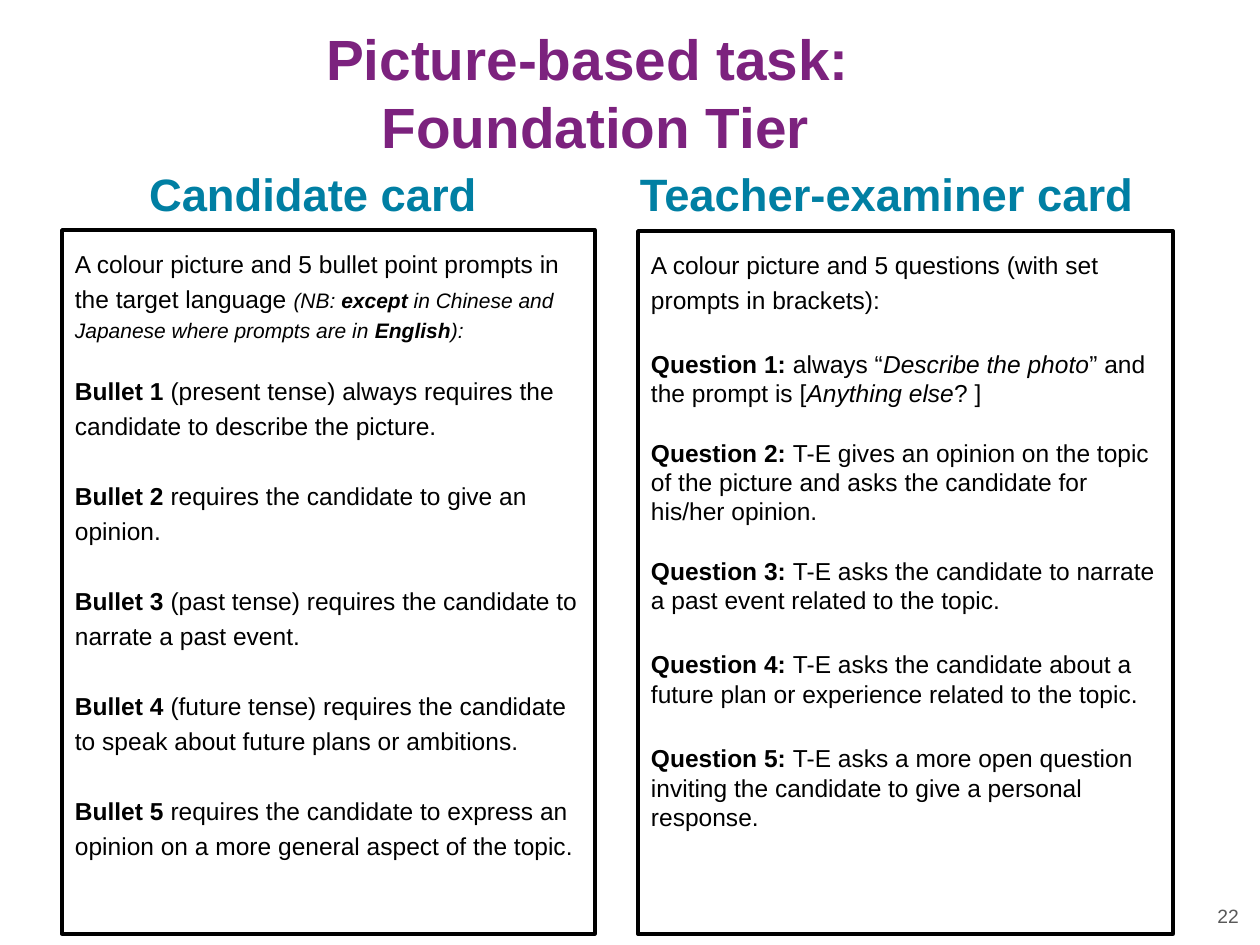
from dataclasses import dataclass

from pptx import Presentation
from pptx.dml.color import RGBColor
from pptx.enum.shapes import MSO_SHAPE as Shape
from pptx.enum.text import MSO_ANCHOR as Anchor, MSO_AUTO_SIZE as AutoSize, PP_ALIGN as Align
from pptx.util import Pt

PX = 914400 // 126


@dataclass(frozen=True)
class Theme:
    font: str = "Arial"
    purple: str = "7C227E"
    teal: str = "007FA3"
    black: str = "000000"
    white: str = "FFFFFF"
    grey: str = "595959"
    title: float = 32.4
    heading: float = 25.9
    body: float = 14
    note: float = 12
    number: float = 11
    inset: int = 13


class Deck:
    def __init__(self, theme):
        self.theme = theme
        self.prs = Presentation()
        self.prs.slide_width, self.prs.slide_height = 1260 * PX, 945 * PX
        self.s = self.prs.slides.add_slide(self.prs.slide_layouts[5])

    def style(self, p, size, color, bold=None, align=Align.LEFT):
        p.alignment = align
        p.font.name = self.theme.font
        p.font.size = Pt(size)
        p.font.bold = bold
        p.font.color.rgb = RGBColor.from_string(color)

    def frame(self, sp, inset, anchor):
        tf = sp.text_frame
        tf.word_wrap = True
        tf.auto_size = AutoSize.NONE
        tf.vertical_anchor = anchor
        tf.margin_left = tf.margin_right = tf.margin_top = tf.margin_bottom = inset * PX
        return tf

    def title(self, text, x, y, w, h):
        sp = self.s.shapes.title
        sp.left, sp.top, sp.width, sp.height = (v * PX for v in (x, y, w, h))
        tf = self.frame(sp, 0, Anchor.TOP)
        tf.text = text
        self.style(tf.paragraphs[0], self.theme.title, self.theme.purple, True, Align.CENTER)

    def label(self, text, x, y, w, h, size, color, bold=None, align=Align.LEFT):
        sp = self.s.shapes.add_textbox(*(v * PX for v in (x, y, w, h)))
        tf = self.frame(sp, 0, Anchor.MIDDLE)
        tf.text = text
        self.style(tf.paragraphs[0], size, color, bold, align)

    def card(self, paragraphs, x, y, w, h):
        """Each paragraph is (space before, line spacing, runs); a run is (text, flags)."""
        t = self.theme
        sp = self.s.shapes.add_shape(Shape.RECTANGLE, *(v * PX for v in (x, y, w, h)))
        sp.shadow.inherit = False
        sp.fill.solid()
        sp.fill.fore_color.rgb = RGBColor.from_string(t.white)
        sp.line.color.rgb = RGBColor.from_string(t.black)
        sp.line.width = Pt(2)
        tf = self.frame(sp, t.inset, Anchor.TOP)
        for i, (before, spacing, runs) in enumerate(paragraphs):
            p = tf.add_paragraph() if i else tf.paragraphs[0]
            self.style(p, t.body, t.black)
            p.line_spacing = spacing
            if before:
                p.space_before = Pt(before)
            for text, flags in runs:
                r = p.add_run()
                r.text = text
                if "b" in flags:
                    r.font.bold = True
                if "i" in flags:
                    r.font.italic = True
                if "n" in flags:  # small note
                    r.font.size = Pt(t.note)


LOOSE, SINGLE = 1.19, 1.0

CANDIDATE_INTRO = [
    ("A colour picture and 5 bullet point prompts in the target language ", ""),
    ("(NB: ", "in"), ("except", "bin"),
    (" in Chinese and Japanese where prompts are in ", "in"),
    ("English", "bin"), ("):", "in"),
]
BULLETS = [
    "(present tense) always requires the candidate to describe the picture.",
    "requires the candidate to give an opinion.",
    "(past tense) requires the candidate to narrate a past event.",
    "(future tense) requires the candidate to speak about future plans or ambitions.",
    "requires the candidate to express an opinion on a more general aspect of the topic.",
]
EXAMINER_INTRO = [("A colour picture and 5 questions (with set prompts in brackets):", "")]
# Space before, then the runs after the question number
QUESTIONS = [
    (20, [("always “", ""), ("Describe the photo", "i"), ("” and the prompt is [", ""),
          ("Anything else", "i"), ("? ]", "")]),
    (17, [("T-E gives an opinion on the topic of the picture and asks the candidate "
           "for his/her opinion.", "")]),
    (17, [("T-E asks the candidate to narrate a past event related to the topic.", "")]),
    (20, [("T-E asks the candidate about a future plan or experience related to the topic.", "")]),
    (20, [("T-E asks a more open question inviting the candidate to give a personal "
           "response.", "")]),
]


def main():
    theme = Theme()
    deck = Deck(theme)

    # Title and slide number
    deck.title("Picture-based task: \vFoundation Tier", 92, 24, 1007, 127)
    deck.label("22", 1199, 897, 40, 37, theme.number, theme.grey, align=Align.RIGHT)

    # Card headings
    for text, x, w in (("Candidate card", 149, 400), ("Teacher-examiner card", 640, 535)):
        deck.label(text, x, 149, w, 88, theme.heading, theme.teal, True)

    # Candidate card
    bullets = [(20 if n > 1 else 16, LOOSE, [(f"Bullet {n} ", "b"), (text, "")])
               for n, text in enumerate(BULLETS, 1)]
    deck.card([(0, LOOSE, CANDIDATE_INTRO)] + bullets, 62, 230, 533, 704)

    # Teacher-examiner card
    questions = [(before, SINGLE, [(f"Question {n}: ", "b")] + runs)
                 for n, (before, runs) in enumerate(QUESTIONS, 1)]
    deck.card([(0, LOOSE, EXAMINER_INTRO)] + questions, 638, 231, 535, 703)

    deck.prs.save("out.pptx")


if __name__ == "__main__":
    main()
